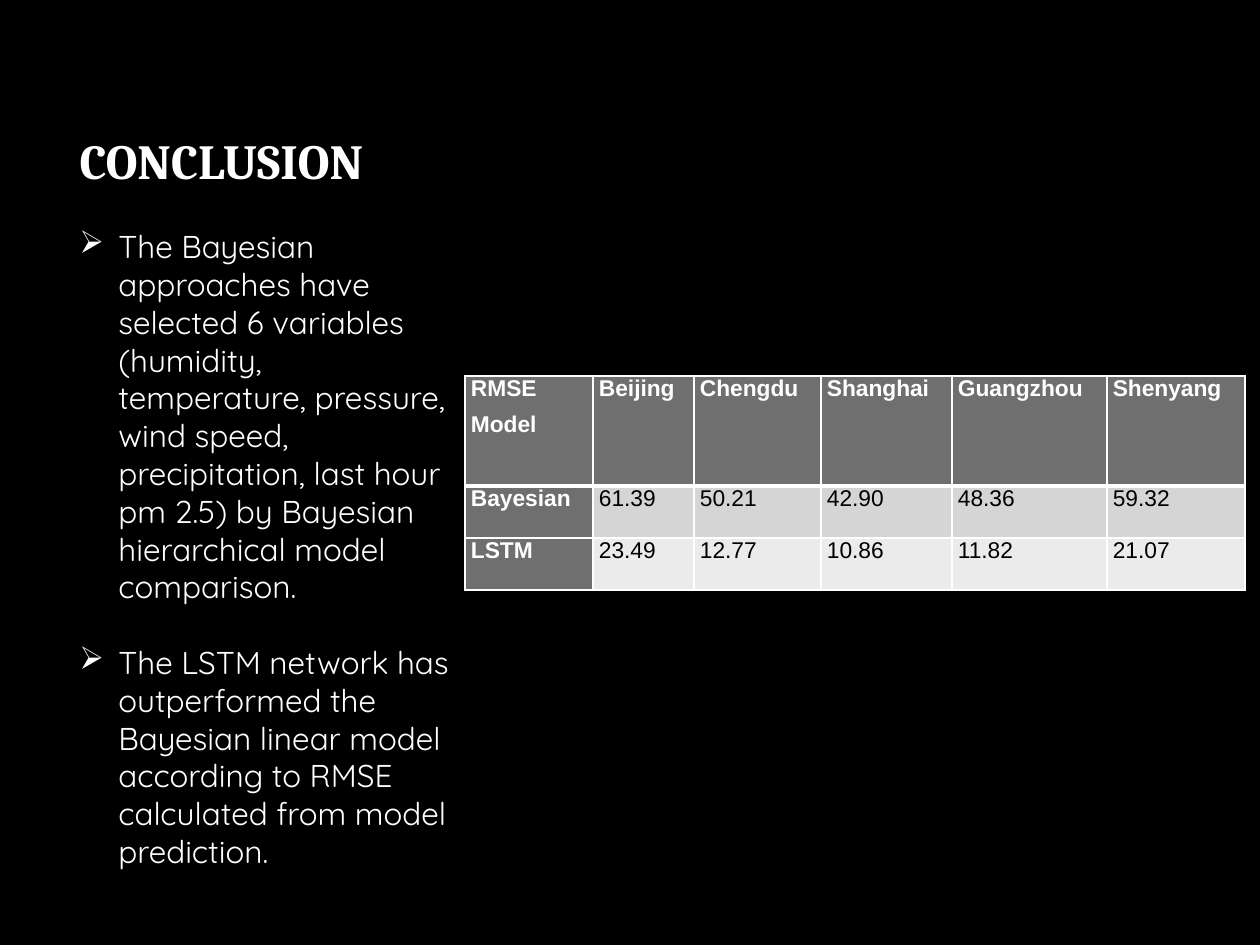
from lxml.etree import SubElement
from pptx import Presentation
from pptx.dml.color import RGBColor
from pptx.enum.text import MSO_ANCHOR, MSO_AUTO_SIZE, PP_ALIGN
from pptx.oxml.ns import qn
from pptx.util import Pt

PX = 914400 / 126
COLORS = {
    "background": "000000",
    "text": "FFFFFF",
    "title_end": "BFBFBF",
    "header": "6F6F6F",
    "band_dark": "D5D5D5",
    "band_light": "EBEBEB",
    "value": "000000",
}


def px(*values):
    return [round(v * PX) for v in values]


def add_border(cell, side, width):
    ln = SubElement(cell._tc.get_or_add_tcPr(), qn(f"a:ln{side}"), w=str(Pt(width)))
    fill = SubElement(ln, qn("a:solidFill"))
    SubElement(fill, qn("a:srgbClr"), val=COLORS["text"])


prs = Presentation()
prs.slide_width, prs.slide_height = px(1260, 945)
s = prs.slides.add_slide(prs.slide_layouts[5])
s.background.fill.solid()
s.background.fill.fore_color.rgb = RGBColor.from_string(COLORS["background"])

# Title
title = s.shapes.title
title.left, title.top, title.width, title.height = px(67, 29, 422, 262)
tf = title.text_frame
tf.vertical_anchor = MSO_ANCHOR.MIDDLE
p = tf.paragraphs[0]
p.alignment = PP_ALIGN.LEFT
r = p.add_run()
r.text = "CONCLUSION"
r.font.name = "Cambria"
r.font.size = Pt(28)
r.font.bold = True
r.font.fill.gradient()
r.font.fill.gradient_angle = 270
for stop, key in zip(r.font.fill.gradient_stops, ("text", "title_end")):
    stop.color.rgb = RGBColor.from_string(COLORS[key])

# RMSE table
rows = [
    ["RMSE\nModel", "Beijing", "Chengdu", "Shanghai", "Guangzhou", "Shenyang"],
    ["Bayesian", "61.39", "50.21", "42.90", "48.36", "59.32"],
    ["LSTM", "23.49", "12.77", "10.86", "11.82", "21.07"],
]
col_widths = [128, 101, 127, 131, 155, 138]
row_heights = [110, 52, 52]
row_fills = ["header", "band_dark", "band_light"]

table = s.shapes.add_table(
    len(rows), len(col_widths), *px(465, 376, sum(col_widths), sum(row_heights))
).table
for col, width in zip(table.columns, px(*col_widths)):
    col.width = width
for row, height in zip(table.rows, px(*row_heights)):
    row.height = height

for i, texts in enumerate(rows):
    for j, text in enumerate(texts):
        cell = table.cell(i, j)
        is_header = i == 0 or j == 0
        cell.margin_left, cell.margin_right = px(6, 6)
        cell.margin_top = cell.margin_bottom = 0
        # The line under the header row is heavier than the rest
        for side, width in (("L", 1), ("R", 1), ("T", 3 if i == 1 else 1), ("B", 3 if i == 0 else 1)):
            add_border(cell, side, width)
        cell.fill.solid()
        cell.fill.fore_color.rgb = RGBColor.from_string(COLORS["header" if is_header else row_fills[i]])
        tf = cell.text_frame
        for n, line in enumerate(text.split("\n")):
            p = tf.add_paragraph() if n else tf.paragraphs[0]
            p.alignment = PP_ALIGN.JUSTIFY
            p.space_after = Pt(6)
            r = p.add_run()
            r.text = line
            r.font.name = "Arial"
            r.font.size = Pt(13)
            r.font.bold = is_header
            r.font.color.rgb = RGBColor.from_string(COLORS["text" if is_header else "value"])

# Findings
findings = [
    "The Bayesian approaches have selected 6 variables (humidity, temperature, pressure, "
    "wind speed, precipitation, last hour pm 2.5) by Bayesian hierarchical model comparison.",
    "The LSTM network has outperformed the Bayesian linear model according to RMSE "
    "calculated from model prediction.",
]
tf = s.shapes.add_textbox(*px(67, 221, 398, 699)).text_frame
tf.word_wrap = True
tf.auto_size = MSO_AUTO_SIZE.SHAPE_TO_FIT_TEXT
indent = px(39)[0]
for n, finding in enumerate(findings):
    p = tf.add_paragraph() if n else tf.paragraphs[0]
    if n:
        p.space_before = Pt(21.6)
    pPr = p._p.get_or_add_pPr()
    pPr.set("marL", str(indent))
    pPr.set("indent", str(-indent))
    bullet_color = SubElement(pPr, qn("a:buClr"))
    SubElement(bullet_color, qn("a:srgbClr"), val=COLORS["text"])
    SubElement(pPr, qn("a:buChar"), char="➢")
    r = p.add_run()
    r.text = finding
    r.font.name = "Quicksand"
    r.font.size = Pt(18)
    r.font.color.rgb = RGBColor.from_string(COLORS["text"])

prs.save("out.pptx")
